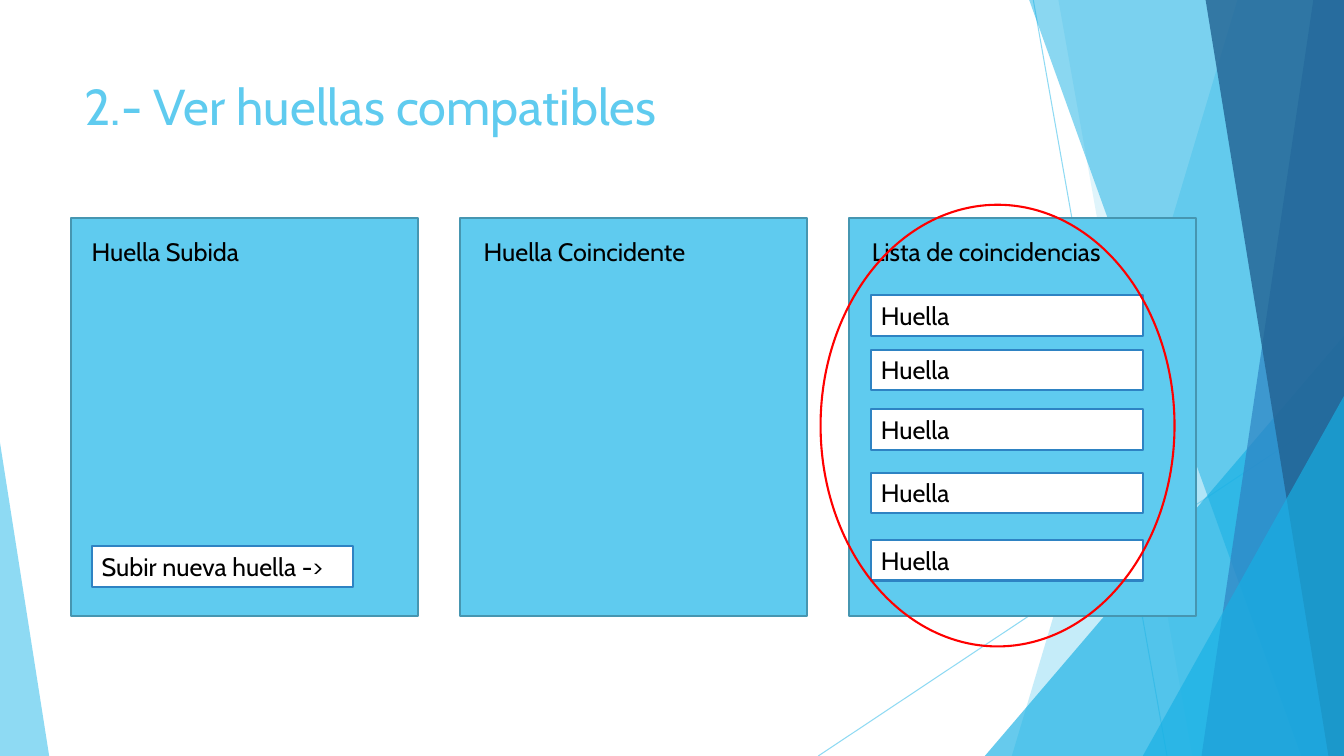
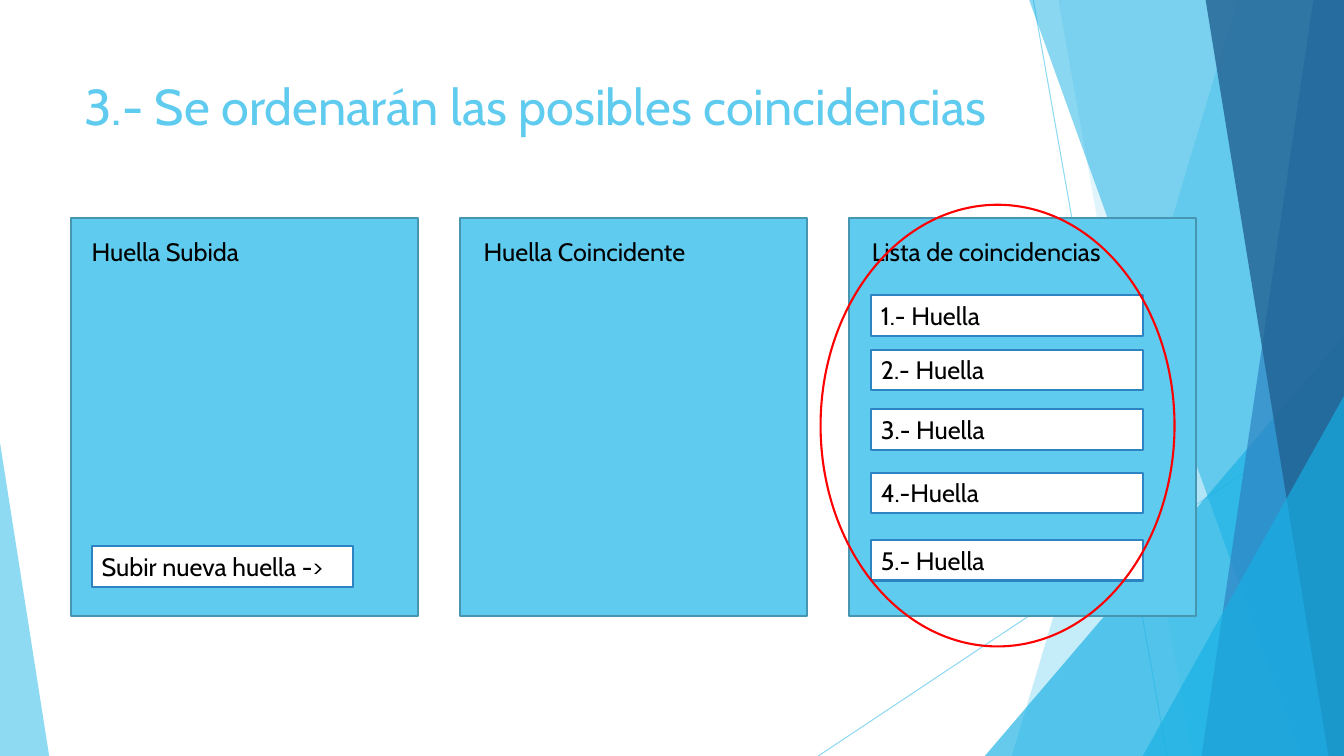
from lxml.etree import SubElement
from pptx import Presentation
from pptx.dml.color import RGBColor
from pptx.enum.shapes import MSO_CONNECTOR, MSO_SHAPE
from pptx.enum.text import MSO_ANCHOR, MSO_AUTO_SIZE, PP_ALIGN
from pptx.oxml.ns import qn
from pptx.util import Cm, Pt

WIDE, HIGH = 33.87, 19.05
COLORS = {
    "sky": "5FCBEF", "cyan": "17B0E4", "blue": "2E83C3", "navy": "226292",
    "edge": "4696B1", "red": "FF0000", "white": "FFFFFF", "black": "000000",
}

# Backdrop: line ends; (left x at top, left x at bottom); (left, top, width, tip)
RAYS = [(26.04, 0, 29.41, HIGH), (WIDE, 10.24, 20.62, HIGH)]
BACK = [
    ("band", (31.19, 25.5), "sky", 36),
    ("band", (26.67, 30.05), "sky", 20),
    ("peak", (24.82, 8.46, 9.05, 1), "cyan", 66),
    ("band", (25.93, 32.79), "cyan", 50),
    ("band", (33.1, 30.28), "blue", 70),
    ("band", (30.38, 33.48), "navy", 80),
    ("peak", (28.8, 9.98, 5.07, 1), "cyan", 66),
    ("peak", (0, 11.15, 1.24, 0), "sky", 70),
]

PANEL_X, PANEL_STEP = 1.8, 9.8
LABELS = [("Huella Subida", 2.06, 4.42), ("Huella Coincidente", 11.94, 5.97),
          ("Lista de coincidencias", 21.72, 6.81)]
ROW_TOPS = [7.44, 8.81, 10.31, 11.91, 13.61]
TEXT_HIGH = 1.02

SLIDES = [
    ("2.- Ver huellas compatibles", 23.88, ["Huella"] * 5),
    ("3.- Se ordenarán las posibles coincidencias", 27.71,
     ["1.- Huella", "2.- Huella", "3.- Huella", "4.-Huella", "5.- Huella"]),
]


def assign(item, values):
    for name, value in values.items():
        setattr(item, name, value)


class Deck:
    font = {"name": "Cabin", "size": Pt(18)}
    frame = {"vertical_anchor": MSO_ANCHOR.MIDDLE, "auto_size": MSO_AUTO_SIZE.NONE}

    def __init__(self):
        self.file = Presentation()
        assign(self.file, {"slide_width": Cm(WIDE), "slide_height": Cm(HIGH)})
        self.shapes = None

    def start(self):
        """Add a slide, with its backdrop, and make it current."""
        slide = self.file.slides.add_slide(self.file.slide_layouts[6])
        self.shapes = slide.shapes
        for ends in RAYS:
            self.ray(*ends)
        for kind, place, color, alpha in BACK:
            draw = self.band if kind == "band" else self.peak
            self.paint(draw(*place), color, alpha=alpha)

    def tint(self, fill, color, alpha=None):
        fill.solid()
        fill.fore_color.rgb = RGBColor.from_string(COLORS[color])
        if alpha is not None:
            node = fill._xPr.find(qn("a:solidFill"))[0]
            SubElement(node, qn("a:alpha"), val=str(alpha * 1000))

    def paint(self, shape, fill=None, line=None, alpha=None):
        """Set fill and line; a missing colour leaves that part empty."""
        shape.shadow.inherit = False
        if fill:
            self.tint(shape.fill, fill, alpha)
        else:
            shape.fill.background()
        if line:
            self.tint(shape.line.fill, line)
            shape.line.width = Pt(1.5)
        else:
            shape.line.fill.background()

    def ray(self, *ends):
        line = self.shapes.add_connector(MSO_CONNECTOR.STRAIGHT, *map(Cm, ends))
        self.tint(line.line.fill, "sky", 70)
        line.line.width = Pt(0.75)
        SubElement(line._element.spPr, qn("a:effectLst"))

    def band(self, top_x, low_x):
        """Outline from a slanted left side to the right slide edge."""
        top, low, right = Cm(-0.02), Cm(HIGH), Cm(WIDE)
        shape = self.shapes.build_freeform(Cm(top_x), top)
        shape.add_line_segments([(right, top), (right, low), (Cm(low_x), low)])
        return shape.convert_to_shape()

    def peak(self, left, top, width, tip):
        """Triangle standing on the bottom slide edge."""
        shape = self.shapes.add_shape(
            MSO_SHAPE.ISOSCELES_TRIANGLE, Cm(left), Cm(top), Cm(width), Cm(HIGH - top))
        shape.adjustments[0] = tip
        return shape

    def form(self, kind, place, fill=None, line=None):
        shape = self.shapes.add_shape(kind, *map(Cm, place))
        self.paint(shape, fill, line)
        return shape

    def letter(self, shape, text, color="black", wrap=True, **extra):
        """Put one styled line of text into a shape."""
        assign(shape.text_frame, {**self.frame, "word_wrap": wrap})
        para = shape.text_frame.paragraphs[0]
        para.alignment = PP_ALIGN.LEFT
        run = para.add_run()
        run.text = text
        assign(run.font, {**self.font, **extra})
        run.font.color.rgb = RGBColor.from_string(COLORS[color])

    def label(self, text, place, **style):
        self.letter(self.shapes.add_textbox(*map(Cm, place)), text, **style)

    def title(self, text, width):
        self.label(text, (1.88, 1.7, width, 1.93), color="sky", size=Pt(36))

    def panel(self, left):
        self.form(MSO_SHAPE.RECTANGLE, (left, 5.49, 8.74, 10.03), "sky", "edge")

    def field(self, text, left, top, width, wrap=True):
        """White outlined box with one line of text."""
        place = left, top, width, TEXT_HIGH
        box = self.form(MSO_SHAPE.RECTANGLE, place, "white", "blue")
        self.letter(box, text, wrap=wrap)

    def ring(self, *place):
        self.form(MSO_SHAPE.OVAL, place, line="red")


def main():
    deck = Deck()
    for title, width, rows in SLIDES:
        deck.start()
        deck.title(title, width)
        for index in range(len(LABELS)):
            deck.panel(PANEL_X + index * PANEL_STEP)
        for text, left, size in LABELS:
            deck.label(text, (left, 5.82, size, TEXT_HIGH), wrap=False)
        for text, top in zip(rows, ROW_TOPS):
            deck.field(text, 21.95, top, 6.86)
        deck.ring(20.68, 5.16, 8.92, 11.13)
        deck.field("Subir nueva huella ->", 2.31, 13.77, 6.58, wrap=False)
    deck.file.save("out.pptx")


if __name__ == "__main__":
    main()
